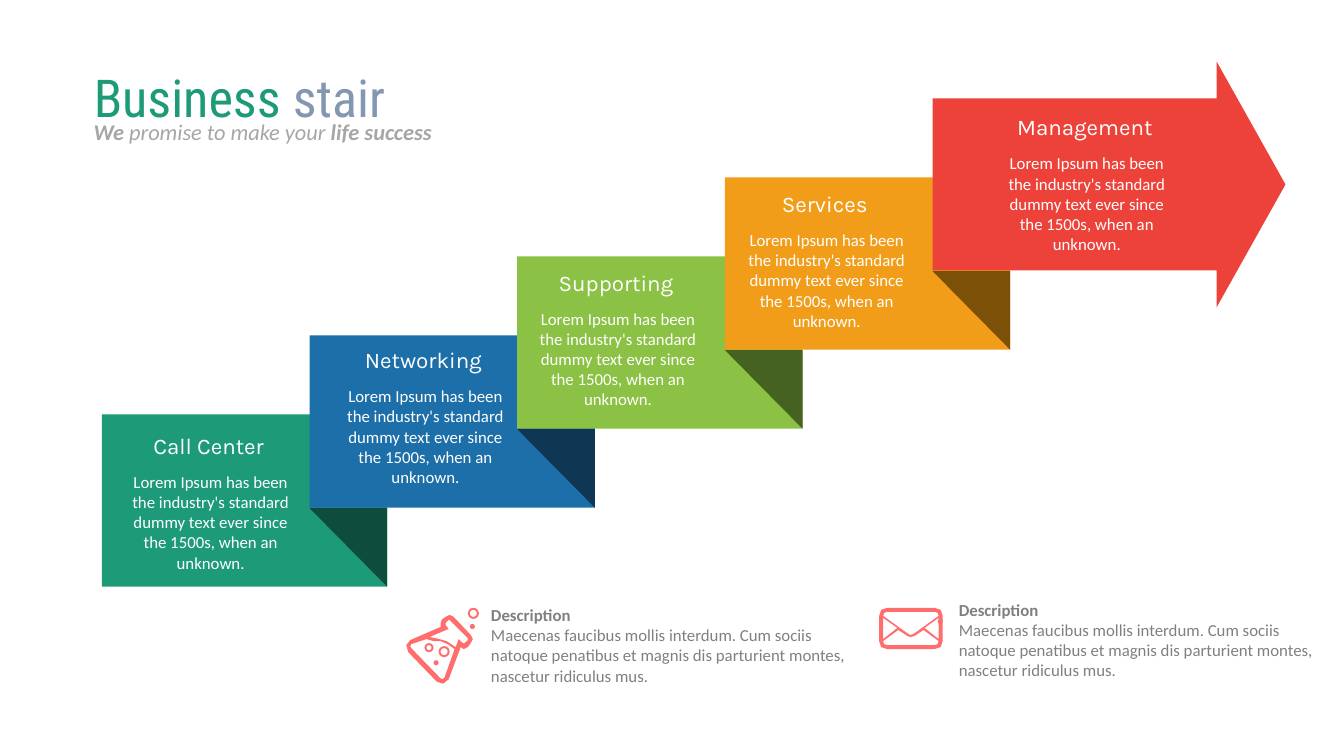
"""Build the business stair slide with five steps and two described icons."""
from dataclasses import dataclass

from pptx import Presentation
from pptx.dml.color import RGBColor
from pptx.enum import shapes, text
from pptx.util import Inches, Pt


@dataclass(frozen=True)
class Theme:
    green: str = "1D9A78"
    slate: str = "8497B0"
    silver: str = "A6A6A6"
    gray: str = "808080"
    white: str = "FFFFFF"
    coral: str = "FF6D6D"
    red: str = "ED423A"
    steps: tuple = (("1D9A78", "0E4D3C"), ("1D6FA9", "0F3754"),
                    ("8BC145", "466221"), ("F19D19", "7D5008"))
    title: tuple = ("Roboto Condensed", 37.3)
    heading: tuple = ("Karla", 16)
    tagline: tuple = ("Calibri", 16)
    body: tuple = ("Calibri", 12)


THEME = Theme()
PAD = (0.13, 0.07)
MIDDLE, TOP = text.MSO_ANCHOR.MIDDLE, text.MSO_ANCHOR.TOP
LEFT, CENTER = text.PP_ALIGN.LEFT, text.PP_ALIGN.CENTER
SHAPE = shapes.MSO_SHAPE


def write(box, paragraphs, style, anchor, align, pad=PAD, italic=False):
    frame = box.text_frame
    frame.word_wrap = True
    frame.auto_size = text.MSO_AUTO_SIZE.NONE
    frame.vertical_anchor = anchor
    frame.margin_left = frame.margin_right = Inches(pad[0])
    frame.margin_top = frame.margin_bottom = Inches(pad[1])
    for index, pieces in enumerate(paragraphs):
        paragraph = frame.add_paragraph() if index else frame.paragraphs[0]
        paragraph.alignment = align
        for words, color, bold in pieces:
            run = paragraph.add_run()
            run.text = words
            run.font.name, run.font.size = style[0], Pt(style[1])
            run.font.bold, run.font.italic = bold, italic
            run.font.color.rgb = RGBColor.from_string(color)


def paint(shape, color):
    shape.shadow.inherit = False
    shape.fill.solid()
    shape.fill.fore_color.rgb = RGBColor.from_string(color)
    shape.line.fill.background()


deck = Presentation()
deck.slide_width, deck.slide_height = Inches(13.33), Inches(7.5)
slide = deck.slides.add_slide(deck.slide_layouts[5])
canvas = slide.shapes

title = canvas.title
title.left, title.top, title.width, title.height = map(Inches, (0.8, 0.61, 6.44, 0.69))
write(title, [[("Business ", THEME.green, False), ("stair", THEME.slate, False)]],
      THEME.title, MIDDLE, LEFT)
tagline = canvas.add_textbox(*map(Inches, (0.8, 1.1, 4.2, 0.4)))
write(tagline, [[("We", THEME.silver, True), (" promise to make your ", THEME.silver, False),
                 ("life success", THEME.silver, True)]],
      THEME.tagline, TOP, LEFT, italic=True)

STEP_WIDTH, STEP_HEIGHT, FOLD = 2.83, 1.71, 0.78
STRIDE, RISE = 2.06, 2.35 / 3
for index, (face, shade) in enumerate(THEME.steps):
    left, top = 1.01 + STRIDE * index, 4.11 - RISE * index
    step = canvas.add_shape(SHAPE.RECTANGLE,
                            *map(Inches, (left, top, STEP_WIDTH, STEP_HEIGHT)))
    paint(step, face)
    right, bottom = left + STEP_WIDTH, top + STEP_HEIGHT
    fold = canvas.build_freeform(Inches(left + STRIDE), Inches(bottom - FOLD))
    fold.add_line_segments([(Inches(right), Inches(bottom - FOLD)),
                            (Inches(right), Inches(bottom))])
    paint(fold.convert_to_shape(), shade)

arrow = canvas.add_shape(SHAPE.RIGHT_ARROW, *map(Inches, (9.25, 0.61, 3.5, 2.44)))
arrow.adjustments[0], arrow.adjustments[1] = 0.7, 0.28
paint(arrow, THEME.red)

LOREM = ("Lorem Ipsum has been the industry's standard dummy text ever since "
         "the 1500s, when an unknown.")
for name, left, top in (("Call Center", 1.11, 4.18), ("Networking", 3.24, 3.33),
                        ("Supporting", 5.15, 2.56), ("Services", 7.22, 1.78),
                        ("Management", 9.8, 1.02)):
    body = canvas.add_textbox(*map(Inches, (left, top + 0.43, 1.96, 1.14)))
    write(body, [[(LOREM, THEME.white, False)]], THEME.body, TOP, CENTER)
    heading = canvas.add_textbox(*map(Inches, (left + 0.14, top, 1.64, 0.48)))
    write(heading, [[(name, THEME.white, False)]], THEME.heading, MIDDLE, CENTER)

MAECENAS = ("Maecenas faucibus mollis interdum. Cum sociis natoque penatibus et "
            "magnis dis parturient montes, nascetur ridiculus mus.")
for left, top in ((4.87, 5.68), (9.51, 5.63)):
    description = canvas.add_textbox(*map(Inches, (left, top, 3.66, 1.44)))
    write(description, [[("Description", THEME.gray, True)],
                        [(MAECENAS, THEME.gray, False)]],
          THEME.body, MIDDLE, LEFT, pad=(0, 0))

flask = (
    ((4.5, 6.12), (4.46, 6.1), (4.42, 6.12), (4.38, 6.15), (4.37, 6.19), (4.37, 6.22),
     (4.07, 6.35), (4.03, 6.4), (4.05, 6.47), (4.33, 6.76), (4.38, 6.78), (4.4, 6.78),
     (4.45, 6.74), (4.57, 6.42), (4.6, 6.44), (4.64, 6.42), (4.67, 6.38), (4.69, 6.34),
     (4.67, 6.3)),
    ((4.41, 6.72), (4.39, 6.74), (4.37, 6.73), (4.08, 6.43), (4.07, 6.41), (4.08, 6.39),
     (4.23, 6.34), (4.3, 6.36), (4.37, 6.36), (4.44, 6.39), (4.51, 6.44)),
    ((4.64, 6.35), (4.61, 6.38), (4.59, 6.38), (4.55, 6.34), (4.52, 6.42), (4.43, 6.36),
     (4.32, 6.33), (4.26, 6.32), (4.45, 6.24), (4.42, 6.2), (4.42, 6.18), (4.45, 6.15),
     (4.46, 6.15), (4.64, 6.33)),
)
envelope = (
    ((9.27, 6.03), (8.8, 6.03), (8.74, 6.05), (8.72, 6.11), (8.72, 6.36), (8.74, 6.42),
     (8.8, 6.44), (9.27, 6.44), (9.33, 6.42), (9.35, 6.36), (9.35, 6.11), (9.33, 6.05)),
    ((8.76, 6.13), (8.9, 6.23), (8.76, 6.34)),
    ((9.31, 6.13), (9.17, 6.23), (9.31, 6.34)),
    ((9.31, 6.36), (9.3, 6.39), (9.27, 6.4), (8.8, 6.4), (8.77, 6.39), (8.76, 6.36),
     (8.91, 6.25), (9, 6.31), (9.03, 6.32), (9.07, 6.31), (9.16, 6.25)),
    ((9.06, 6.29), (9.03, 6.3), (9.01, 6.29), (8.76, 6.11), (8.77, 6.08), (8.8, 6.07),
     (9.27, 6.07), (9.3, 6.08), (9.31, 6.11)),
)
for icon in (flask, envelope):
    contours = [[(Inches(x), Inches(y)) for x, y in contour] for contour in icon]
    outline = canvas.build_freeform(*contours[0][0])
    outline.add_line_segments(contours[0][1:])
    for start, *rest in contours[1:]:
        outline.move_to(*start)
        outline.add_line_segments(rest)
    paint(outline.convert_to_shape(), THEME.coral)

for left, top, size in ((4.35, 6.41, 0.11), (4.64, 6.03, 0.11), (4.21, 6.38, 0.09)):
    bubble = canvas.add_shape(SHAPE.DONUT, *map(Inches, (left, top, size, size)))
    bubble.adjustments[0] = 0.02 / size
    paint(bubble, THEME.coral)
for left, top in ((4.3, 6.55), (4.66, 6.19), (9.3, 6.14)):
    dot = canvas.add_shape(SHAPE.OVAL, *map(Inches, (left, top, 0.05, 0.05)))
    paint(dot, THEME.coral)

deck.save("out.pptx")
